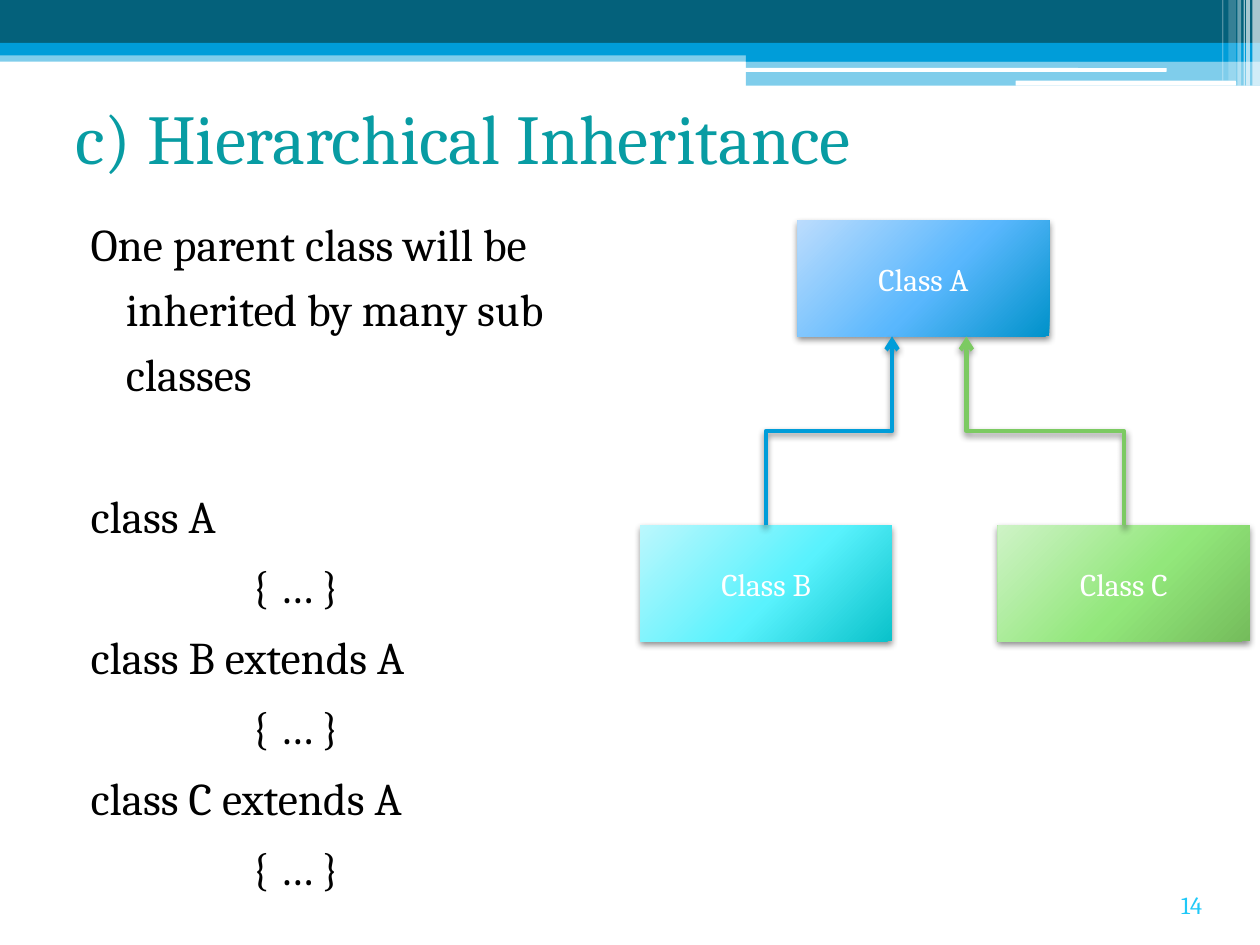
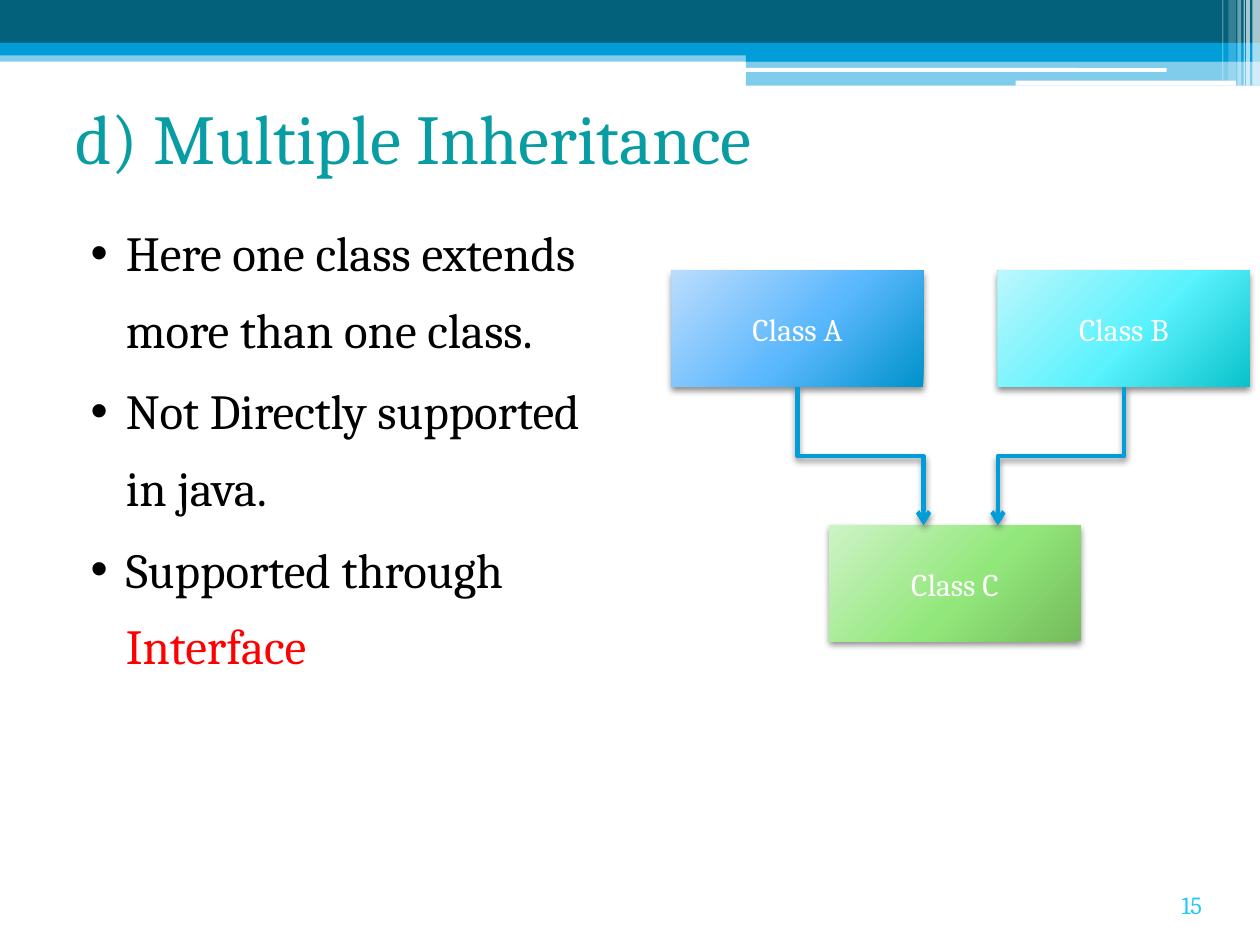
from dataclasses import dataclass

from pptx import Presentation
from pptx.dml.color import RGBColor as Rgb
from pptx.enum.shapes import MSO_CONNECTOR as Link, MSO_SHAPE as Kind
from pptx.enum.text import MSO_ANCHOR as Anchor, PP_ALIGN as Align
from pptx.oxml import parse_xml
from pptx.oxml.ns import nsdecls, qn
from pptx.util import Inches, Pt


@dataclass(frozen=True)
class Theme:
    font: str = "Cambria"
    dark: str = "04617B"
    blue: str = "009DD9"
    green: str = "7CCA62"
    white: str = "FFFFFF"
    black: str = "000000"
    red: str = "FF0000"
    title: str = "089CA3"
    number: str = "20C9F8"
    # Gradient stops of the class boxes
    sky: tuple = ("BBDCFD", "59B7FD", "0092CA")
    aqua: tuple = ("BBF7FD", "59F2FD", "0AC2CA")
    leaf: tuple = ("CEF3C6", "92E77B", "74BC5B")
    # Type sizes and line width in points
    head: float = 40
    code: float = 25.9
    list: float = 28
    label: float = 18
    small: float = 14
    line: float = 2.5


THEME = Theme()
BOX_W, BOX_H = 2, 0.92

# Header bands: left, top, width, height, colour, opacity, shape
BANDS = [
    (0, 0.4, 10, 0.09, THEME.blue, 50, Kind.RECTANGLE),
    (0, 0, 10, 0.34, THEME.dark, 100, Kind.RECTANGLE),
    (0, 0.34, 10, 0.1, THEME.blue, 100, Kind.RECTANGLE),
    (5.92, 0.39, 4.08, 0.1, THEME.blue, 100, Kind.RECTANGLE),
    (5.92, 0.48, 4.08, 0.2, THEME.blue, 50, Kind.RECTANGLE),
    (5.91, 0.54, 3.35, 0.03, THEME.white, 100, Kind.ROUNDED_RECTANGLE),
    (8.06, 0.64, 1.75, 0.04, THEME.white, 100, Kind.ROUNDED_RECTANGLE),
]
# Thin upright stripes at the right: left, width, height, opacity
STRIPES = [
    (9.94, 0.06, 0.68, 65), (9.89, 0.03, 0.68, 65), (9.87, 0.01, 0.68, 60),
    (9.82, 0.03, 0.68, 40), (9.75, 0.06, 0.64, 20), (9.7, 0.01, 0.64, 30),
]
BANDS += [(x, 0, w, h, THEME.white, alpha, Kind.RECTANGLE)
          for x, w, h, alpha in STRIPES]


def write(para, text, size=THEME.label, color=THEME.black, align=Align.LEFT,
          spacing=None, before=None, left=None, hang=0, bullet=None):
    """Add a run to a paragraph and set the paragraph's format."""
    run = para.add_run()
    run.text = text
    run.font.name, run.font.size = THEME.font, Pt(size)
    run.font.color.rgb = Rgb.from_string(color)
    para.alignment = align
    if spacing:
        para.line_spacing = spacing
    if before is not None:
        para.space_before = Pt(before)
    if left is not None:
        props = para._p.get_or_add_pPr()
        props.set("marL", str(Inches(left)))
        props.set("indent", str(Inches(-hang)))
        if bullet:
            props.append(parse_xml(f'<a:buFont {nsdecls("a")} typeface="Arial"/>'))
            props.append(parse_xml(f'<a:buChar {nsdecls("a")} char="{bullet}"/>'))


def shade(shape):
    """Give a shape a soft shadow below it."""
    shape.element.spPr.append(parse_xml(
        f'<a:effectLst {nsdecls("a")}><a:outerShdw blurRad="{Pt(4)}" '
        f'dist="{Pt(2)}" dir="5400000" rotWithShape="0">'
        f'<a:srgbClr val="{THEME.black}"><a:alpha val="45000"/></a:srgbClr>'
        '</a:outerShdw></a:effectLst>'))


class Deck:
    def __init__(self, theme):
        self.theme = theme
        self.prs = Presentation()
        self.prs.slide_width, self.prs.slide_height = Inches(10), Inches(7.5)
        self.slide = None

    def page(self, title, number):
        """Start a slide with its bands, title and number."""
        look = self.theme
        self.slide = self.prs.slides.add_slide(self.prs.slide_layouts[5])
        for band in BANDS:
            self.band(*band)
        head = self.slide.shapes.title
        head.left, head.top = Inches(0.5), Inches(0.67)
        head.width, head.height = Inches(9), Inches(0.83)
        head.text_frame.vertical_anchor = Anchor.MIDDLE
        write(head.text_frame.paragraphs[0], title, size=look.head, color=look.title)
        foot = self.frame(8.58, 6.95, 1.06, 0.4)
        foot.vertical_anchor = Anchor.BOTTOM
        write(foot.paragraphs[0], str(number), size=look.small,
              color=look.number, align=Align.RIGHT)

    def band(self, x, y, w, h, color, alpha, kind):
        shape = self.slide.shapes.add_shape(
            kind, Inches(x), Inches(y), Inches(w), Inches(h))
        shape.shadow.inherit = False
        shape.line.fill.background()
        shape.fill.solid()
        shape.fill.fore_color.rgb = Rgb.from_string(color)
        if alpha < 100:
            tint = shape.element.spPr.find(qn("a:solidFill"))[0]
            tint.append(parse_xml(f'<a:alpha {nsdecls("a")} val="{alpha * 1000}"/>'))

    def frame(self, x, y, w, h):
        box = self.slide.shapes.add_textbox(Inches(x), Inches(y), Inches(w), Inches(h))
        box.text_frame.word_wrap = True
        return box.text_frame

    def body(self, items, **base):
        """Write paragraphs, each a list of (text, format) runs."""
        frame = self.frame(0.5, 1.58, 4.58, 5.67)
        for i, runs in enumerate(items):
            para = frame.add_paragraph() if i else frame.paragraphs[0]
            for text, extra in runs:
                write(para, text, **{**base, **extra})

    def box(self, name, x, y, stops):
        shape = self.slide.shapes.add_shape(
            Kind.RECTANGLE, Inches(x), Inches(y), Inches(BOX_W), Inches(BOX_H))
        shape.line.fill.background()
        marks = "".join(f'<a:gs pos="{at * 1000}"><a:srgbClr val="{color}"/></a:gs>'
                        for at, color in zip((0, 55, 100), stops))
        shape.element.spPr.find(qn("a:ln")).addprevious(parse_xml(
            f'<a:gradFill {nsdecls("a")} rotWithShape="1"><a:gsLst>{marks}</a:gsLst>'
            '<a:path path="circle"><a:fillToRect l="-40000" t="-90000" '
            'r="140000" b="190000"/></a:path></a:gradFill>'))
        shade(shape)
        shape.text_frame.vertical_anchor = Anchor.MIDDLE
        write(shape.text_frame.paragraphs[0], name,
              color=self.theme.white, align=Align.CENTER)

    def elbow(self, start, end, color):
        """Draw an arrow that leaves and arrives upright."""
        (x1, y1), (x2, y2) = start, end
        w, h = abs(y2 - y1), abs(x2 - x1)
        x, y = (x1 + x2 - w) / 2, (y1 + y2 - h) / 2
        line = self.slide.shapes.add_connector(
            Link.ELBOW, Inches(x), Inches(y), Inches(x + w), Inches(y + h))
        # A quarter turn makes the outer legs vertical
        turn = line.element.spPr.find(qn("a:xfrm"))
        turn.set("rot", "5400000")
        turn.set("flipH", str(int(y2 < y1)))
        turn.set("flipV", str(int(x2 > x1)))
        line.line.width = Pt(self.theme.line)
        line.line.color.rgb = Rgb.from_string(color)
        line.element.spPr.find(qn("a:ln")).append(
            parse_xml(f'<a:tailEnd {nsdecls("a")} type="arrow"/>'))
        shade(line)


def main():
    deck = Deck(THEME)
    low = 4.17

    # Hierarchical inheritance: class text, then one parent and two children
    deck.page("c) Hierarchical Inheritance", 14)
    items = [[("One parent class will be inherited by many sub classes", {})]]
    for name in ("class A", "class B extends A", "class C extends A"):
        gap = {"before": 43.3} if name == "class A" else {}
        items += [[(name, gap)], [("{ … }", {"left": 1.4, "hang": 0})]]
    deck.body(items, size=THEME.code, spacing=1.2, before=3, left=0.4, hang=0.28)
    top = 1.75
    deck.box("Class A", 6.33, top, THEME.sky)
    deck.box("Class B", 5.08, low, THEME.aqua)
    deck.box("Class C", 7.92, low, THEME.leaf)
    deck.elbow((6.08, low), (7.08, top + BOX_H), THEME.blue)
    deck.elbow((8.92, low), (7.67, top + BOX_H), THEME.green)

    # Multiple inheritance: bullets, then two parents and one child
    deck.page("d) Multiple Inheritance", 15)
    deck.body([
        [("Here one class extends more than one class.", {})],
        [("Not Directly supported in java.", {})],
        [("Supported through ", {}),
         ("Interface", {"color": THEME.red, "bullet": None})],
    ], size=THEME.list, spacing=1.3, before=3, left=0.4, hang=0.28, bullet="•")
    top = 2.15
    deck.box("Class A", 5.33, top, THEME.sky)
    deck.box("Class B", 7.92, top, THEME.aqua)
    deck.box("Class C", 6.58, low, THEME.leaf)
    for start, end in ((6.33, 7.33), (8.92, 7.92)):
        deck.elbow((start, top + BOX_H), (end, low), THEME.blue)

    deck.prs.save("out.pptx")


if __name__ == "__main__":
    main()
